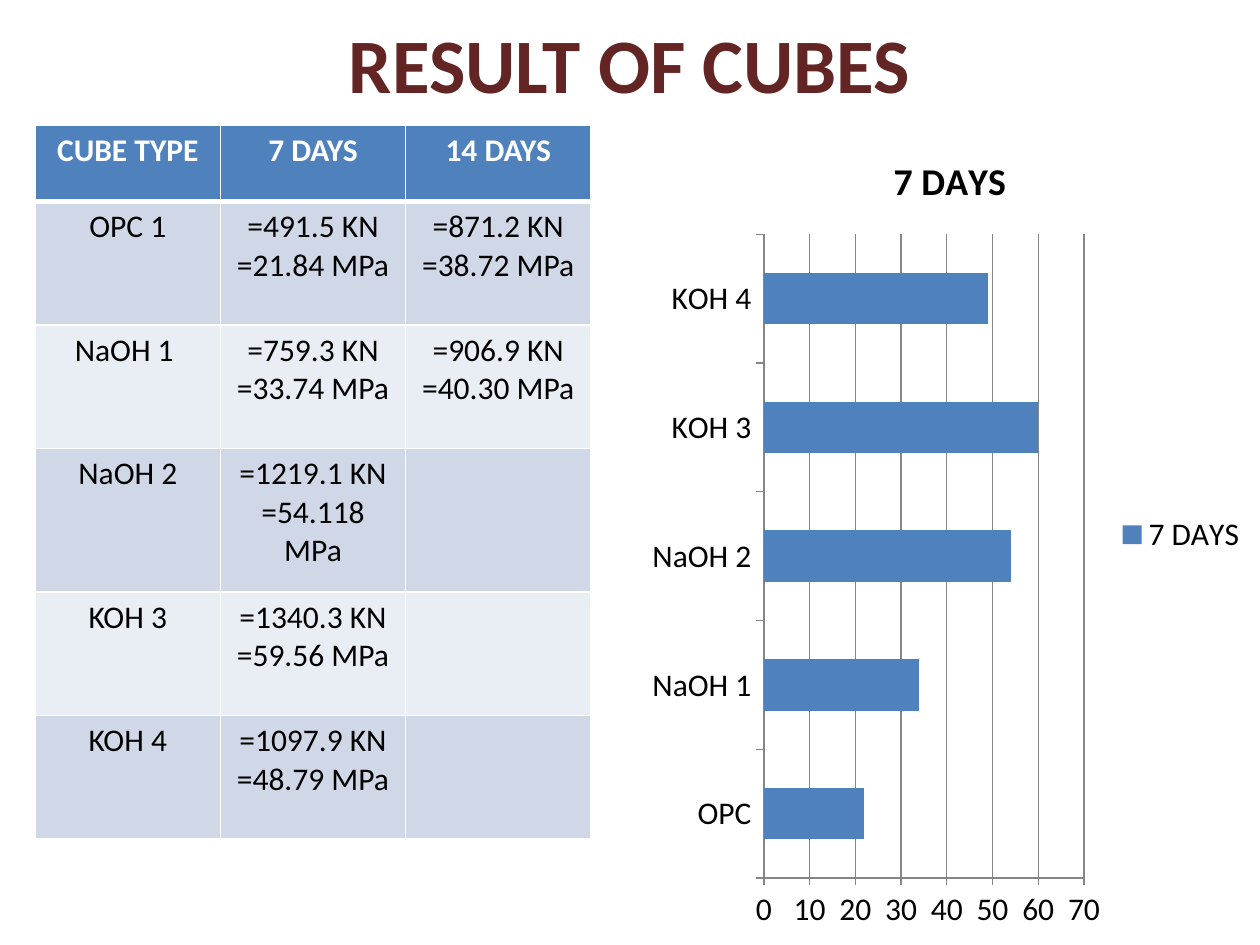
from dataclasses import dataclass

from lxml.etree import SubElement
from pptx import Presentation
from pptx.chart.data import CategoryChartData as ChartData
from pptx.dml.color import RGBColor
from pptx.enum.chart import XL_CHART_TYPE as Kind
from pptx.enum.chart import XL_LEGEND_POSITION as Side
from pptx.enum.chart import XL_TICK_MARK as Tick
from pptx.enum.text import MSO_ANCHOR as Anchor
from pptx.enum.text import PP_ALIGN as Align
from pptx.oxml.ns import qn
from pptx.util import Inches, Pt

FONT = "Calibri"
MAROON = RGBColor(0x63, 0x25, 0x23)
BLUE = RGBColor(0x4F, 0x81, 0xBD)
BANDS = RGBColor(0xD0, 0xD8, 0xE8), RGBColor(0xE9, 0xED, 0xF4)
WHITE = RGBColor(0xFF, 0xFF, 0xFF)
BLACK = RGBColor(0, 0, 0)
GRAY = RGBColor(0x86, 0x86, 0x86)


@dataclass
class Cube:
    name: str
    week: str
    later: str
    label: str
    stress: int
    height: float = 0.98


HEADS = "CUBE TYPE", "7 DAYS", "14 DAYS"
CUBES = [
    Cube("OPC 1", "=491.5 KN\n=21.84 MPa", "=871.2 KN\n=38.72 MPa", "OPC", 22),
    Cube("NaOH 1 ", "=759.3 KN\n=33.74 MPa", "=906.9 KN\n=40.30 MPa", "NaOH 1", 34),
    Cube("NaOH 2", "=1219.1 KN\n=54.118 MPa", "", "NaOH 2", 54, 1.14),
    Cube("KOH 3", "=1340.3 KN\n=59.56 MPa", "", "KOH 3", 60),
    Cube("KOH 4", "=1097.9 KN\n=48.79 MPa", "", "KOH 4", 49),
]


def style(font, size: float, color: RGBColor, bold: bool = False) -> None:
    font.name, font.size, font.bold = FONT, Pt(size), bold
    font.color.rgb = color


def write(frame, text: str, size: float, color: RGBColor, bold: bool) -> None:
    frame.text = text
    for para in frame.paragraphs:
        para.alignment = Align.CENTER
        style(para.font, size, color, bold)


def edge(cell, **widths: float) -> None:
    """Draw white cell borders, in points, keyed by side in schema order."""
    props = cell._tc.get_or_add_tcPr()
    for side, width in widths.items():
        line = SubElement(props, qn(f"a:ln{side}"), w=str(Pt(width)))
        fill = SubElement(line, qn("a:solidFill"))
        SubElement(fill, qn("a:srgbClr"), val=str(WHITE))


def add_title(slide) -> None:
    box = slide.shapes.add_textbox(0, 0, Inches(10), Inches(0.99))
    frame = box.text_frame
    frame.word_wrap = True
    frame.vertical_anchor = Anchor.MIDDLE
    write(frame, "RESULT OF CUBES", 44, MAROON, True)


def add_grid(slide) -> None:
    rows = [HEADS] + [(c.name, c.week, c.later) for c in CUBES]
    tall = [0.61] + [c.height for c in CUBES]
    table = slide.shapes.add_table(
        len(rows), len(HEADS), Inches(0.28), Inches(0.99),
        Inches(4.41), Inches(sum(tall))).table
    for col in table.columns:
        col.width = Inches(1.47)
    for i, (row, height) in enumerate(zip(rows, tall)):
        table.rows[i].height = Inches(height)
        head = i == 0
        for j, text in enumerate(row):
            cell = table.cell(i, j)
            edge(cell, L=1, R=1, T=3 if i == 1 else 1, B=3 if head else 1)
            cell.fill.solid()
            cell.fill.fore_color.rgb = BLUE if head else BANDS[(i - 1) % 2]
            write(cell.text_frame, text, 18, WHITE if head else BLACK, head)


def add_bars(slide) -> None:
    data = ChartData()
    data.categories = [c.label for c in CUBES]
    data.add_series("7 DAYS", [c.stress for c in CUBES])
    chart = slide.shapes.add_chart(
        Kind.BAR_CLUSTERED, Inches(5.08), Inches(0.99),
        Inches(4.92), Inches(6.51), data).chart
    style(chart.font, 18, BLACK)
    chart.has_title = True
    title = chart.chart_title.text_frame
    title.text = "7 DAYS"
    style(title.paragraphs[0].font, 21.6, BLACK, True)
    chart.has_legend = True
    chart.legend.position = Side.RIGHT
    chart.legend.include_in_layout = False
    plot = chart.plots[0]
    plot.vary_by_categories = False
    plot.gap_width = 150
    fill = plot.series[0].format.fill
    fill.solid()
    fill.fore_color.rgb = BLUE
    for axis in (chart.category_axis, chart.value_axis):
        axis.major_tick_mark = Tick.OUTSIDE
        axis.format.line.color.rgb = GRAY
    grid = chart.value_axis
    grid.has_major_gridlines = True
    grid.major_gridlines.format.line.color.rgb = GRAY


def main() -> None:
    deck = Presentation()
    deck.slide_width, deck.slide_height = Inches(10), Inches(7.5)
    slide = deck.slides.add_slide(deck.slide_layouts[6])
    add_title(slide)
    add_grid(slide)
    add_bars(slide)
    deck.save("out.pptx")


if __name__ == "__main__":
    main()
